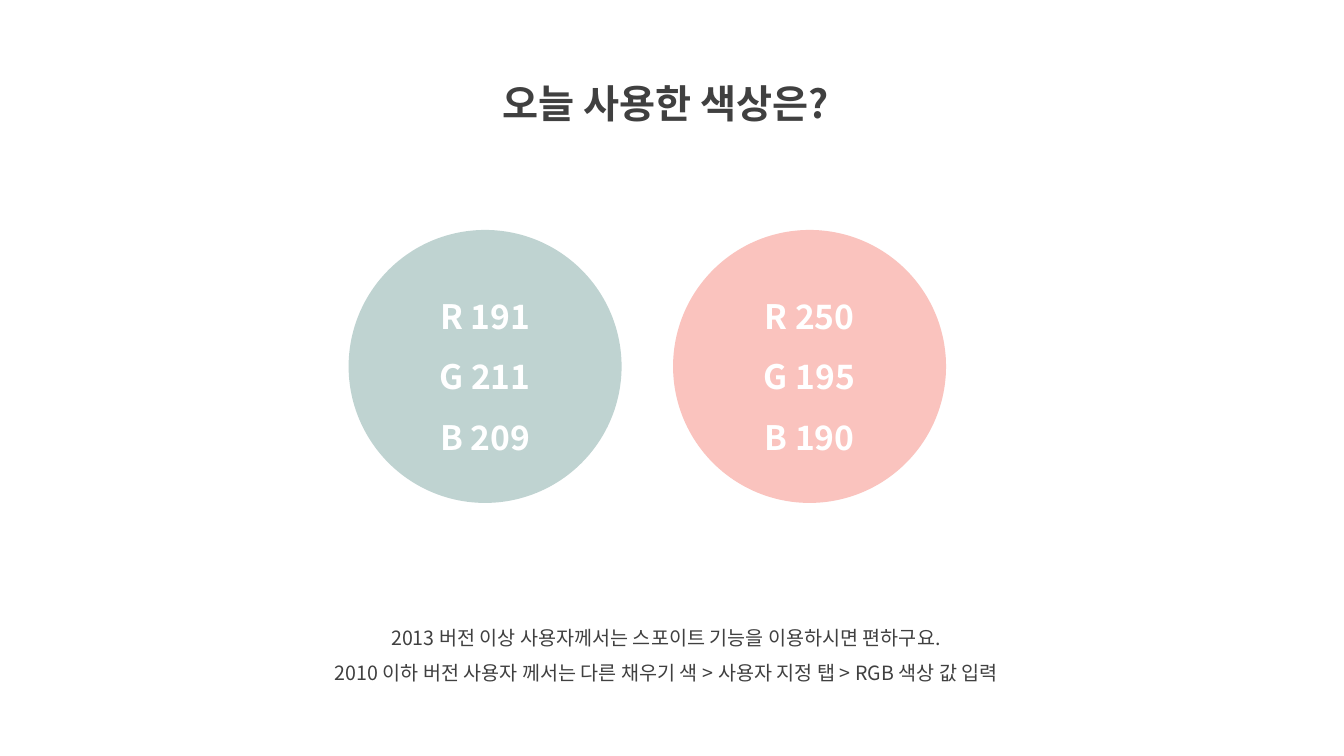
import pptx
import pptx.util
import pptx.dml.color
import pptx.enum.shapes
import pptx.enum.text
import pptx.oxml.ns
import lxml.etree

RGBColor = pptx.dml.color.RGBColor
INK = RGBColor(0x40, 0x40, 0x40)
WHITE = RGBColor(0xFF, 0xFF, 0xFF)
MINT = RGBColor(191, 211, 209)
PINK = RGBColor(250, 195, 190)

FONT = "Noto Sans CJK KR"
EMU_PER_PX = 9525
CIRCLE_LEFT, CIRCLE_TOP, CIRCLE_SIZE, CIRCLE_STEP = 332, 219, 260, 309
TITLE = "오늘 사용한 색상은?"
GUIDE = [
    "2013 버전 이상 사용자께서는 스포이트 기능을 이용하시면 편하구요.",
    "2010 이하 버전 사용자 께서는 다른 채우기 색 > 사용자 지정 탭 > RGB 색상 값 입력",
]


def px(*lengths):
    return [pptx.util.Emu(length * EMU_PER_PX) for length in lengths]


def apply(target, values):
    for name, value in values.items():
        setattr(target, name, value)


def write_lines(shape, lines, size, color, bold, anchor):
    frame = shape.text_frame
    apply(frame, {
        "word_wrap": True,
        "auto_size": pptx.enum.text.MSO_AUTO_SIZE.NONE,
        "vertical_anchor": anchor,
    })
    for index, line in enumerate(lines):
        para = frame.add_paragraph() if index else frame.paragraphs[0]
        apply(para, {
            "alignment": pptx.enum.text.PP_ALIGN.CENTER,
            "line_spacing": 1.5,
            "space_before": pptx.util.Pt(0),
        })
        span = para.add_run()
        span.text = line
        apply(span.font, {"name": FONT, "size": pptx.util.Pt(size), "bold": bold})
        span.font.color.rgb = color
        east_asian = lxml.etree.SubElement(
            span.font._element, pptx.oxml.ns.qn("a:ea"))
        east_asian.set("typeface", FONT)


def place_title(page):
    title = page.shapes.title
    left, top, width, height = px(412, 48, 444, 69)
    apply(title, {"left": left, "top": top, "width": width, "height": height})
    write_lines(title, [TITLE], 28, INK, True, pptx.enum.text.MSO_ANCHOR.TOP)


def add_guide(page):
    box = page.shapes.add_textbox(*px(251, 580, 767, 78))
    write_lines(box, GUIDE, 14, INK, False, pptx.enum.text.MSO_ANCHOR.TOP)


def add_swatch(page, left, color):
    circle = page.shapes.add_shape(
        pptx.enum.shapes.MSO_SHAPE.OVAL,
        *px(left, CIRCLE_TOP, CIRCLE_SIZE, CIRCLE_SIZE))
    circle.shadow.inherit = False
    circle.fill.solid()
    circle.fill.fore_color.rgb = color
    circle.line.fill.background()
    lines = [f"{letter} {value}" for letter, value in zip("RGB", color)]
    write_lines(circle, lines, 24, WHITE, True, pptx.enum.text.MSO_ANCHOR.MIDDLE)


def main():
    deck = pptx.Presentation()
    deck.slide_width, deck.slide_height = px(1280, 720)
    page = deck.slides.add_slide(deck.slide_layouts[5])
    place_title(page)
    add_guide(page)
    for index, color in enumerate([MINT, PINK]):
        add_swatch(page, CIRCLE_LEFT + index * CIRCLE_STEP, color)
    deck.save("out.pptx")


if __name__ == "__main__":
    main()
